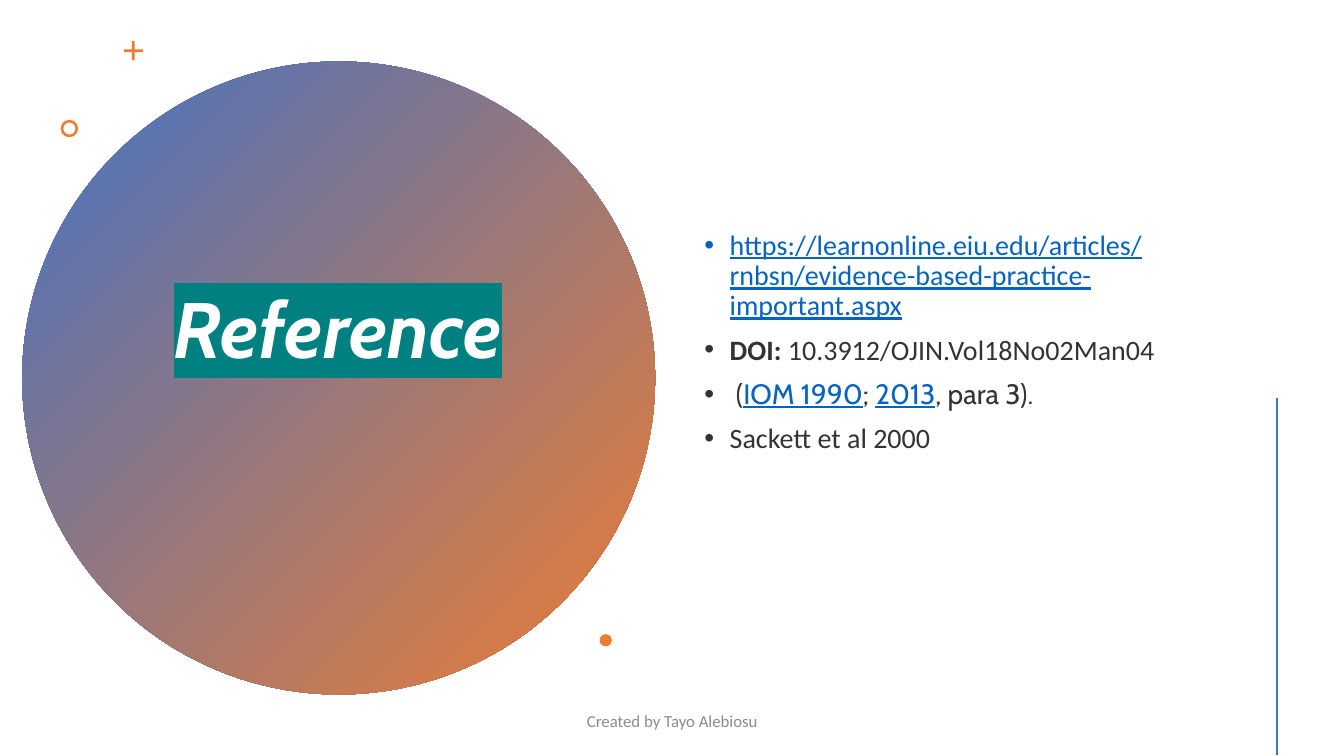
"""Build the reference slide with a gradient disc, a source list and small accents."""
from lxml.etree import SubElement
from pptx import Presentation
from pptx.dml.color import RGBColor
from pptx.enum.shapes import MSO_CONNECTOR, MSO_SHAPE as SHAPE
from pptx.enum.text import MSO_ANCHOR, PP_ALIGN
from pptx.oxml import parse_xml
from pptx.oxml.ns import nsdecls, qn
from pptx.util import Cm, Pt

COLORS = {
    "blue": "4472C4",
    "orange": "ED7D31",
    "teal": "008080",
    "white": "FFFFFF",
    "link": "0563C1",
    "text": "333333",
    "footer": "8C8C8C",
}


def add_text_box(left, top, width, height):
    text_frame = slide.shapes.add_textbox(Cm(left), Cm(top), Cm(width), Cm(height)).text_frame
    text_frame.word_wrap = True
    text_frame.vertical_anchor = MSO_ANCHOR.MIDDLE
    return text_frame


def add_run(paragraph, text, size, color, name="Calibri"):
    run = paragraph.add_run()
    run.text = text
    run.font.size = Pt(size)
    run.font.name = name
    run.font.color.rgb = RGBColor.from_string(COLORS[color])
    return run


presentation = Presentation()
presentation.slide_width = Cm(33.87)
presentation.slide_height = Cm(19.05)
slide = presentation.slides.add_slide(presentation.slide_layouts[6])

disc = slide.shapes.add_shape(SHAPE.OVAL, Cm(0.56), Cm(1.55), Cm(15.95), Cm(15.95))
disc.shadow.inherit = False
disc.line.fill.background()
disc.fill.gradient()
disc.fill.gradient_angle = 315
for stop, color in zip(disc.fill.gradient_stops, ("blue", "orange")):
    stop.color.rgb = RGBColor.from_string(COLORS[color])

title = add_text_box(3.45, 3.58, 10.13, 9.63).paragraphs[0]
title.alignment = PP_ALIGN.CENTER
title.line_spacing = 0.9
heading = add_run(title, "Reference", 56, "white", "Cabin")
heading.font.bold = True
heading.font.italic = True
highlight = parse_xml(
    f'<a:highlight {nsdecls("a")}><a:srgbClr val="{COLORS["teal"]}"/></a:highlight>'
)
heading.font._element.find(qn("a:solidFill")).addnext(highlight)

accents = [
    (SHAPE.CROSS, 3.12, 1.04, 0.48, 0.43),
    (SHAPE.DONUT, 1.53, 3.02, 0.44, 0.15),
    (SHAPE.OVAL, 15.11, 15.98, 0.31, None),
]
for kind, left, top, size, adjustment in accents:
    accent = slide.shapes.add_shape(kind, Cm(left), Cm(top), Cm(size), Cm(size))
    accent.shadow.inherit = False
    accent.line.fill.background()
    accent.fill.solid()
    accent.fill.fore_color.rgb = RGBColor.from_string(COLORS["orange"])
    if adjustment:
        accent.adjustments[0] = adjustment

references = [
    ("Calibri", [("https://learnonline.eiu.edu/articles/rnbsn/evidence-based-practice-important.aspx", "link")]),
    ("Calibri", [("DOI:", "bold"), (" 10.3912/OJIN.Vol18No02Man04", "plain")]),
    ("Cabin", [
        (" (", "plain"),
        ("IOM 1990", "link"),
        ("; ", "plain"),
        ("2013", "link"),
        (", para 3).", "plain"),
    ]),
    ("Calibri", [("Sackett et al 2000", "plain")]),
]
reference_frame = add_text_box(17.5, 1.45, 13.26, 14.38)
for index, (name, parts) in enumerate(references):
    paragraph = reference_frame.add_paragraph() if index else reference_frame.paragraphs[0]
    properties = paragraph._p.get_or_add_pPr()
    properties.set("marL", str(Cm(0.64)))
    properties.set("indent", str(-Cm(0.64)))
    SubElement(properties, qn("a:buFont"), typeface="Arial")
    SubElement(properties, qn("a:buChar"), char="•")
    paragraph.line_spacing = 0.9
    paragraph.space_before = Pt(10 if index else 0)
    for text, style in parts:
        run = add_run(paragraph, text, 20, "link" if style == "link" else "text", name)
        run.font.underline = style == "link"
        run.font.bold = style == "bold"

edge = slide.shapes.add_connector(MSO_CONNECTOR.STRAIGHT, Cm(32.18), Cm(10.03), Cm(32.18), Cm(19.03))
edge.line.color.rgb = RGBColor.from_string(COLORS["blue"])
edge.line.width = Pt(2)
SubElement(edge._element.spPr, qn("a:effectLst"))

footer = add_text_box(11.23, 17.65, 11.43, 1.02).paragraphs[0]
footer.alignment = PP_ALIGN.CENTER
add_run(footer, "Created by Tayo Alebiosu", 12, "footer")

presentation.save("out.pptx")
